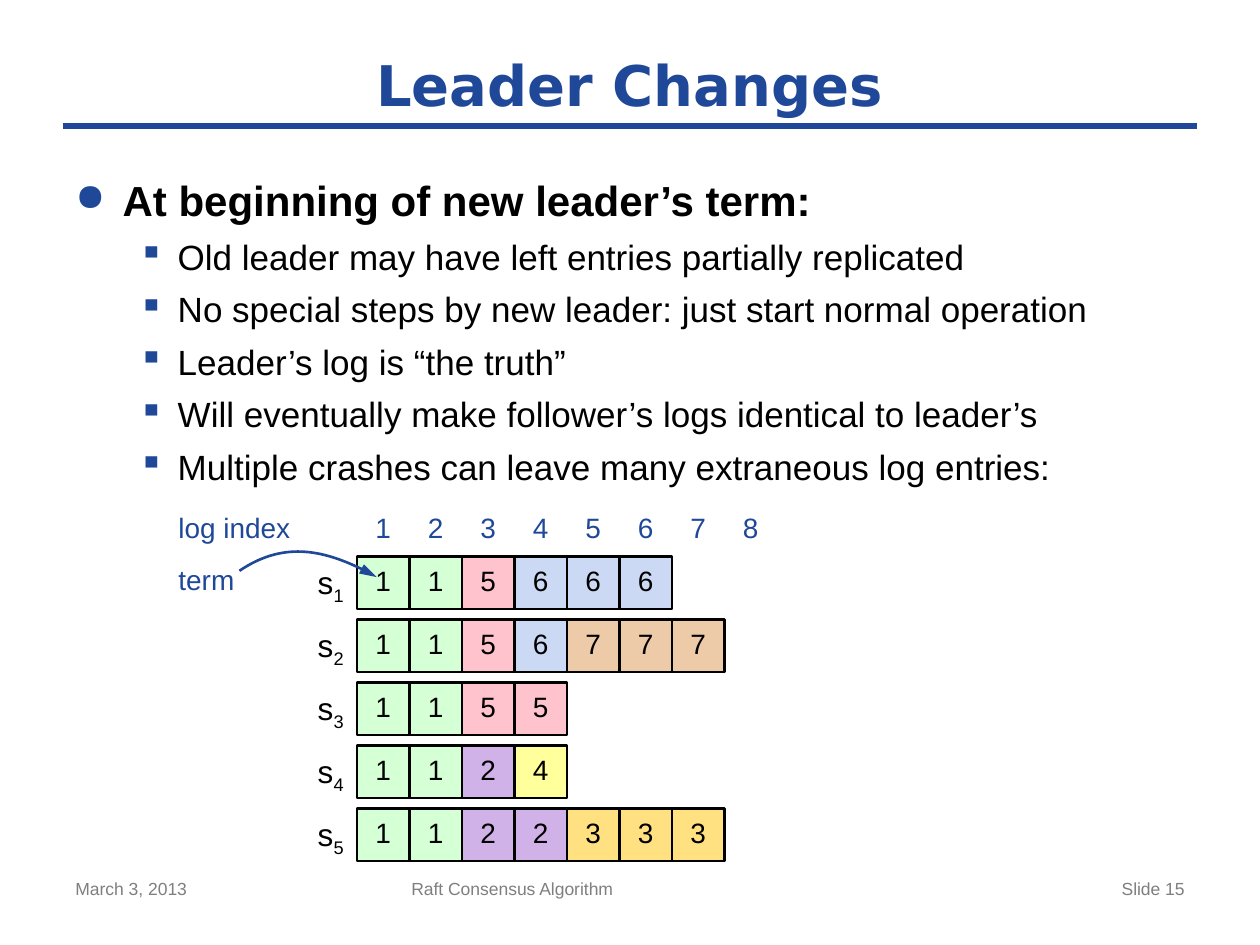
from lxml import etree
from pptx import Presentation
from pptx import util as u
from pptx.dml.color import RGBColor
from pptx.enum import shapes, text
from pptx.oxml.ns import qn

Pt = u.Pt
ALIGN = text.PP_ALIGN
ANCHOR = text.MSO_ANCHOR
COLORS = {"blue": "1F4899", "black": "000000", "gray": "7F7F7F"}
TERM_COLORS = {1: "D5FFD5", 2: "D1B2E8", 3: "FFE181", 4: "FFFF9B",
               5: "FFC3CE", 6: "CCD9F4", 7: "EECBA8"}
LOGS = [[1, 1, 5, 6, 6, 6],
        [1, 1, 5, 6, 7, 7, 7],
        [1, 1, 5, 5],
        [1, 1, 2, 4],
        [1, 1, 2, 2, 3, 3, 3]]
HEADING = "At beginning of new leader’s term:"
POINTS = ["Old leader may have left entries partially replicated",
          "No special steps by new leader: just start normal operation",
          "Leader’s log is “the truth”",
          "Will eventually make follower’s logs identical to leader’s",
          "Multiple crashes can leave many extraneous log entries:"]
CELL, ROW_STEP = 30, 36
INSETS = ("margin_left", "margin_top", "margin_right", "margin_bottom")


def rgb(color):
    return RGBColor.from_string(color)


def set_all(target, **values):
    for name, value in values.items():
        setattr(target, name, value)


def add_run(paragraph, words, size, color, font="Arial", bold=False):
    run = paragraph.add_run()
    run.text = words
    set_all(run.font, size=Pt(size), name=font, bold=bold)
    run.font.color.rgb = rgb(color)
    return run


def add_label(slide, box, words, size, color, align=ALIGN.LEFT, inset=True, **font):
    label = slide.shapes.add_textbox(*map(Pt, box))
    frame = label.text_frame
    frame.word_wrap = True
    if not inset:
        set_all(frame, **dict.fromkeys(INSETS, 0))
    paragraph = frame.paragraphs[0]
    paragraph.alignment = align
    add_run(paragraph, words, size, color, **font)
    return frame


def add_bullet(paragraph, mark, left, hanging, percent):
    props = paragraph._p.get_or_add_pPr()
    props.set("marL", str(Pt(left)))
    props.set("indent", str(-Pt(hanging)))
    color = etree.SubElement(props, qn("a:buClr"))
    etree.SubElement(color, qn("a:srgbClr"), val=COLORS["blue"])
    etree.SubElement(props, qn("a:buSzPct"), val=str(percent * 1000))
    etree.SubElement(props, qn("a:buChar"), char=mark)


def drop_shadow(shape):
    etree.SubElement(shape._element.spPr, qn("a:effectLst"))


def add_header(slide, left, top, width, height):
    rule = slide.shapes.add_connector(shapes.MSO_CONNECTOR.STRAIGHT, Pt(left), Pt(top + height),
                                      Pt(left + width), Pt(top + height))
    rule.line.color.rgb = rgb(COLORS["blue"])
    rule.line.width = Pt(4)
    drop_shadow(rule)
    title = add_label(slide, (left, top, width, height), "Leader Changes", 32, COLORS["blue"],
                      ALIGN.CENTER, font="DejaVu Sans", bold=True)
    title.vertical_anchor = ANCHOR.MIDDLE


def add_body(slide, left, top, width, height):
    frame = add_label(slide, (left, top, width, height), HEADING, 24, COLORS["black"], bold=True)
    heading = frame.paragraphs[0]
    heading.space_before = Pt(12)
    add_bullet(heading, "●", 27, 27, 90)
    for words in POINTS:
        point = frame.add_paragraph()
        point.level = 1
        point.space_before = Pt(6)
        add_run(point, words, 20, COLORS["black"])
        add_bullet(point, "▪", 58.5, 22.5, 100)


def add_entry(slide, left, top, term):
    entry = slide.shapes.add_shape(shapes.MSO_SHAPE.RECTANGLE, Pt(left), Pt(top), Pt(CELL), Pt(CELL))
    entry.shadow.inherit = False
    entry.fill.solid()
    entry.fill.fore_color.rgb = rgb(TERM_COLORS[term])
    entry.line.color.rgb = rgb(COLORS["black"])
    entry.line.width = Pt(1.5)
    frame = entry.text_frame
    set_all(frame, vertical_anchor=ANCHOR.MIDDLE, **dict.fromkeys(INSETS, 0))
    paragraph = frame.paragraphs[0]
    set_all(paragraph, alignment=ALIGN.CENTER, line_spacing=Pt(17))
    add_run(paragraph, str(term), 16, COLORS["black"])


def add_term_arrow(slide, left, top):
    """Curve from the word "term" to the first entry."""
    start, peak, end = (0, 10.1), (34, 0), (78.5, 13.7)
    controls = [(24.5, -6.5), (52.6, -1.5), end]
    builder = slide.shapes.build_freeform(Pt(start[0]), Pt(start[1]))
    builder.add_line_segments([tuple(map(Pt, p)) for p in (peak, end)], close=False)
    arrow = builder.convert_to_shape(Pt(left), Pt(top))
    arrow.shadow.inherit = False
    arrow.fill.background()
    arrow.line.color.rgb = rgb(COLORS["blue"])
    arrow.line.width = Pt(1.5)
    # Bend the outline into one cubic curve
    outline = next(arrow._element.iter(qn("a:path")))
    for segment in outline.findall(qn("a:lnTo")):
        outline.remove(segment)
    curve = etree.SubElement(outline, qn("a:cubicBezTo"))
    for x, y in controls:
        etree.SubElement(curve, qn("a:pt"), x=str(Pt(x)), y=str(Pt(y)))
    line = arrow._element.spPr.find(qn("a:ln"))
    etree.SubElement(line, qn("a:tailEnd"), type="triangle", w="med", len="lg")


def add_logs(slide, left, top):
    # Log indexes and captions
    entries_left, entries_top = left + 102, top + 30
    for i in range(8):
        add_label(slide, (entries_left + i * CELL, top, CELL, 26.5), str(i + 1), 16,
                  COLORS["blue"], ALIGN.CENTER)
    for caption, offset in (("log index", 3.6), ("term", 33.6)):
        add_label(slide, (left, top + offset, 90, 19.5), caption, 16, COLORS["blue"], inset=False)
    # One row for each server
    for i, log in enumerate(LOGS):
        row_top = entries_top + i * ROW_STEP
        for j, term in enumerate(log):
            add_entry(slide, entries_left + j * CELL, row_top, term)
        server = add_label(slide, (entries_left - CELL, row_top + 4, CELL, 21.5), "s", 18,
                           COLORS["black"], ALIGN.CENTER, inset=False)
        number = add_run(server.paragraphs[0], str(i + 1), 18, COLORS["black"])
        number.font._element.set("baseline", "-25000")
    add_term_arrow(slide, left + 34.8, top + 28.1)


def add_footer(slide, left, top, width, height):
    parts = [("March 3, 2013", 0, 168, ALIGN.LEFT),
             ("Raft Consensus Algorithm", 192, 270, ALIGN.LEFT),
             ("Slide 15", width - 168, 168, ALIGN.RIGHT)]
    for words, offset, part_width, align in parts:
        add_label(slide, (left + offset, top, part_width, height), words, 10, COLORS["gray"], align)


deck = Presentation()
set_all(deck, slide_width=Pt(720), slide_height=Pt(540))
leader_changes = deck.slides.add_slide(deck.slide_layouts[6])
add_header(leader_changes, 36, 24, 648, 48)
add_body(leader_changes, 36, 96, 648, 386.5)
add_footer(leader_changes, 36, 498, 648, 31)
add_logs(leader_changes, 102, 288)
deck.save("out.pptx")
